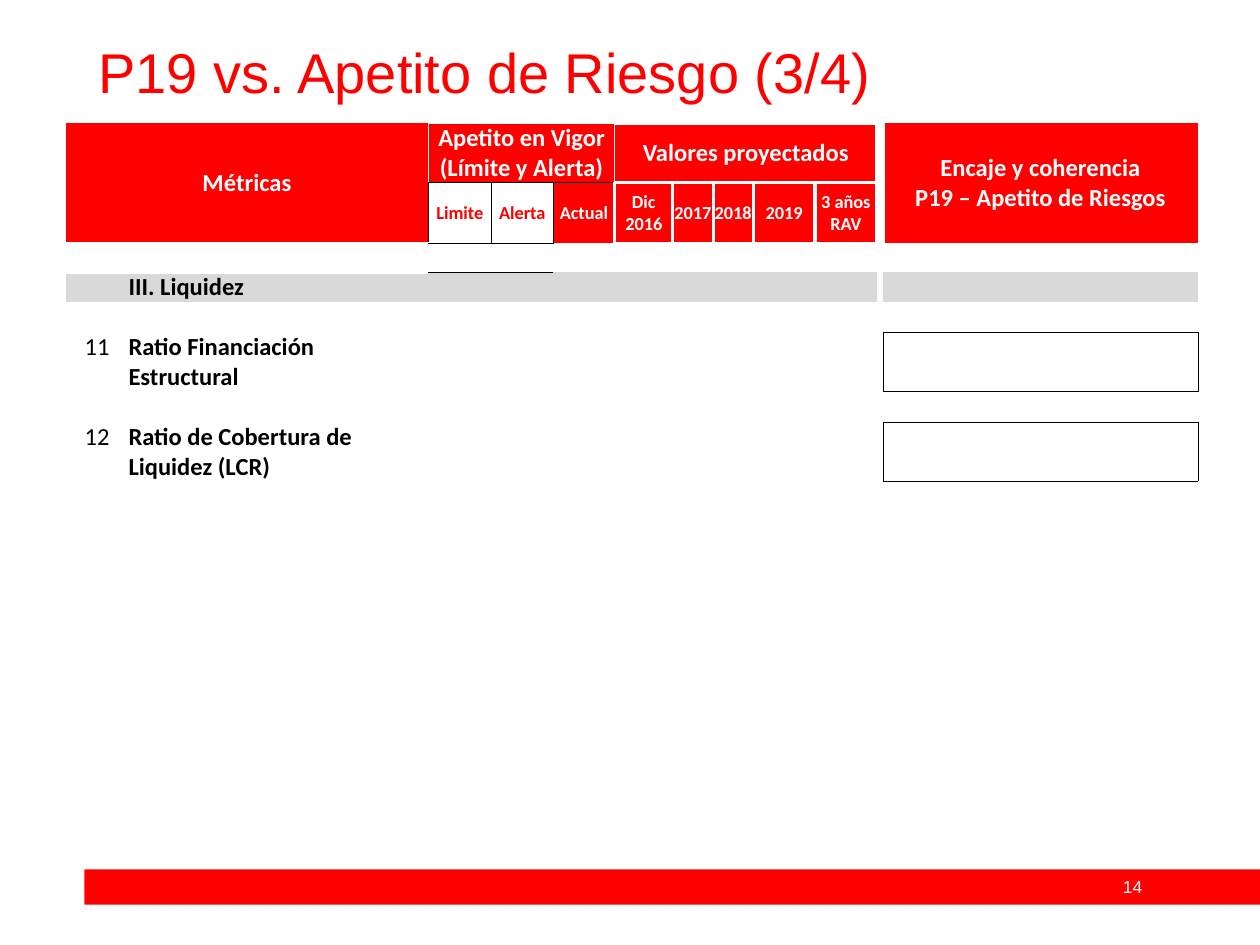
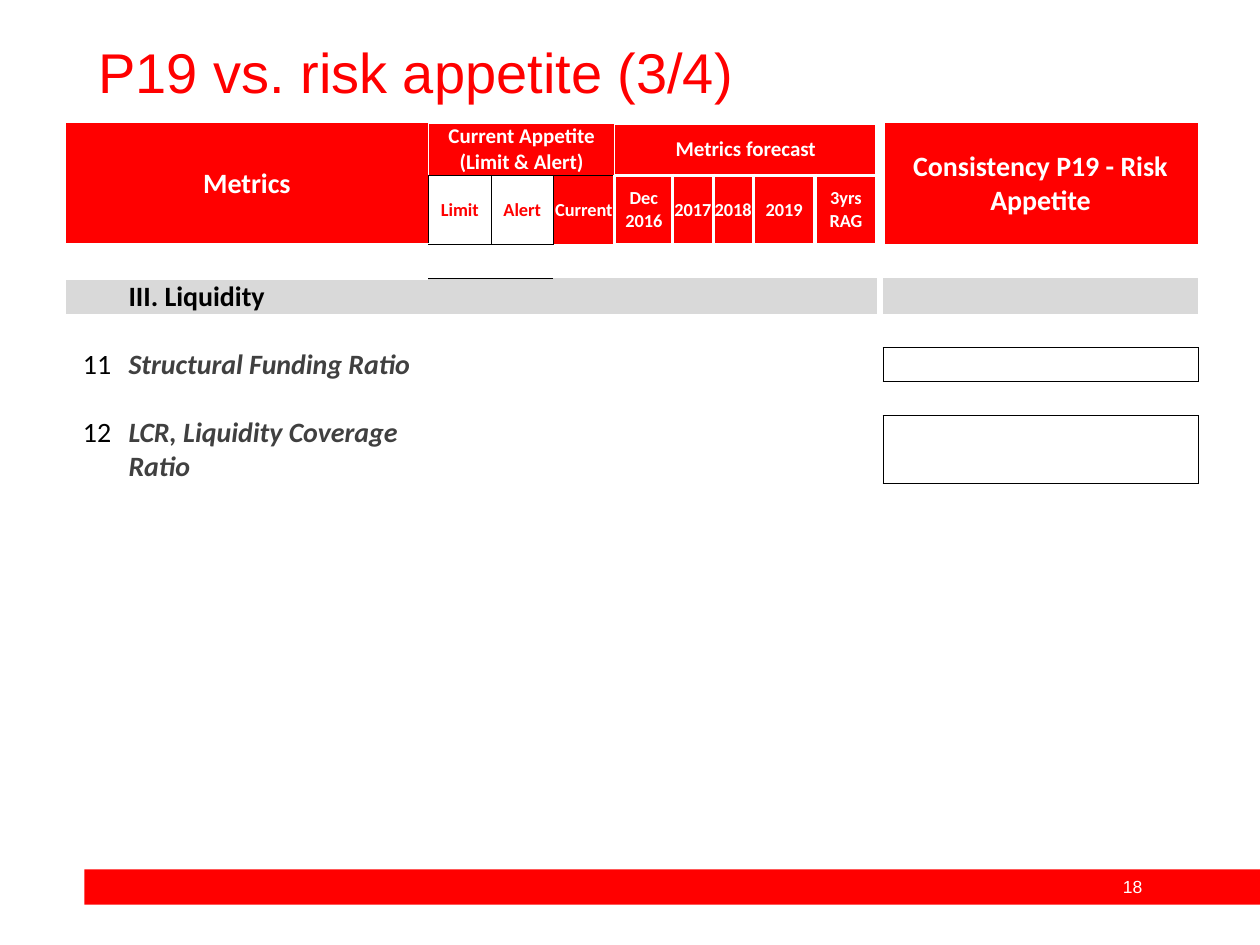
from lxml.etree import SubElement
from pptx import Presentation
from pptx.dml.color import RGBColor
from pptx.enum.shapes import MSO_SHAPE as Shape
from pptx.enum.text import MSO_ANCHOR as Anchor, MSO_AUTO_SIZE as Fit, PP_ALIGN as Align
from pptx.oxml import parse_xml
from pptx.oxml.ns import nsdecls, qn
from pptx.util import Inches, Pt

RED = RGBColor(0xFF, 0x00, 0x00)
WHITE = RGBColor(0xFF, 0xFF, 0xFF)
BLACK = RGBColor(0x00, 0x00, 0x00)
GREY = RGBColor(0xD9, 0xD9, 0xD9)
DARK = RGBColor(0x40, 0x40, 0x40)

NO_STYLE = "{2D5ABB26-0587-4C30-8999-92F81FD0307C}"
TITLE_BOX = (0.68, 0.31, 8.62, 0.57)
BAND_BOX = (0.67, 6.9, 9.33, 0.28)
PAGE_BOX = (8.71, 6.9, 0.56, 0.27)
GRID_BOX = (0.52, 0.98, 9, 2.84)
COLS = (0.5, 2.38, 0.5, 0.49, 0.49, 0.46, 0.32, 0.32, 0.49, 0.49, 0.05, 2.5)
GAP, FIT = 10, 11  # narrow spacer column and last column
SPANS = [(0, 0, 1, 1), (0, 2, 0, 4), (0, 5, 0, 9), (0, FIT, 1, FIT)]
SPANS += [(row, 8, row, 9) for row in (2, 5, 7)]

THIN, THICK = 0.5, 2
EDGES = {
    (0, 0): [("R", WHITE, THIN), ("B", WHITE, THICK)],
    (0, 2): [("LRT", WHITE, THIN), ("B", BLACK, THIN)],
    (0, 5): [("L", WHITE, THIN), ("RTB", WHITE, THICK)],
    (1, 4): [("L", BLACK, THIN), ("R", WHITE, THICK)],
}
EDGES |= {(row, GAP): [("L", WHITE, THICK)] for row in (0, 1)}
EDGES |= {(1, col): [("LRT", WHITE, THICK)] for col in range(5, 10)}
EDGES |= {(2, col): [("T", WHITE, THICK)] for col in (0, 1)}
EDGES |= {(2, col): [("T", BLACK, THIN)] for col in (2, 3)}
EDGES |= {(row, GAP): [("R", BLACK, THIN)] for row in (5, 7)}
EDGES |= {(4, FIT): [("B", BLACK, THIN)], (6, FIT): [("TB", BLACK, THIN)]}
EDGES |= {spot: [("LRTB", BLACK, THIN)]
          for spot in ((1, 2), (1, 3), (5, FIT), (7, FIT))}

PAGES = [
    {
        "title": "P19 vs. Apetito de Riesgo (3/4)", "page": "14",
        "rows": (0.47, 0.48, 0.23, 0.24, 0.24, 0.47, 0.24, 0.47),
        "size": 14, "group": 14,
        "heads": ("Métricas", "Apetito en Vigor\n(Límite y Alerta)",
                  "Valores proyectados",
                  "Encaje y coherencia\nP19 – Apetito de Riesgos"),
        "subs": ("Limite", "Alerta", "Actual", "Dic 2016",
                 "2017", "2018", "2019", "3 años RAV"),
        "part": "III. Liquidez",
        "names": ("Ratio Financiación Estructural",
                  "Ratio de Cobertura de Liquidez (LCR)"),
        "look": {"bold": True, "color": BLACK},
    },
    {
        "title": "P19 vs. risk appetite (3/4)", "page": "18",
        "rows": (0.41, 0.55, 0.27, 0.28, 0.27, 0.27, 0.27, 0.54),
        "size": 16, "group": 12,
        "heads": ("Metrics", "Current Appetite (Limit & Alert)",
                  "Metrics forecast", "Consistency P19 - Risk Appetite"),
        "subs": ("Limit", "Alert", "Current", "Dec 2016",
                 "2017", "2018", "2019", "3yrs RAG"),
        "part": "III. Liquidity",
        "names": ("Structural Funding Ratio", "LCR, Liquidity Coverage Ratio"),
        "look": {"bold": True, "italic": True, "color": DARK},
    },
]


def inch(box):
    return [Inches(part) for part in box]


def write(frame, text, align, look):
    """Fill a text frame, giving every paragraph the same look."""
    frame.text = text
    for para in frame.paragraphs:
        para.alignment = align
        for run in para.runs:
            for key, value in look.items():
                if key == "color":
                    run.font.color.rgb = value
                else:
                    setattr(run.font, key, value)


def add_title(slide, box, text):
    title = slide.shapes.title
    title.left, title.top, title.width, title.height = inch(box)
    frame = title.text_frame
    write(frame, text, Align.LEFT, {"size": Pt(32), "name": "Arial", "color": RED})
    frame.auto_size = Fit.NONE
    frame.vertical_anchor = Anchor.MIDDLE
    frame.paragraphs[0].line_spacing = 0.9


def add_foot(slide, page):
    band = slide.shapes.add_shape(Shape.RECTANGLE, *inch(BAND_BOX))
    band.shadow.inherit = False
    band.fill.solid()
    band.fill.fore_color.rgb = RED
    band.line.fill.background()
    frame = slide.shapes.add_textbox(*inch(PAGE_BOX)).text_frame
    frame.word_wrap = True
    write(frame, page, Align.CENTER, {"size": Pt(10), "name": "Arial", "color": WHITE})


def shade(row, col):
    """Return the fill colour of a cell."""
    if col == GAP or (row == 1 and col in (2, 3)):
        return WHITE
    return {0: RED, 1: RED, 3: GREY}.get(row, WHITE)


def edge(cell, rules):
    """Draw cell borders, which the schema wants before the fill."""
    lines = {side: (color, width) for sides, color, width in rules for side in sides}
    props = cell._tc.get_or_add_tcPr()
    for spot, side in enumerate(side for side in "LRTB" if side in lines):
        color, width = lines[side]
        props.insert(spot, parse_xml(
            f'<a:ln{side} {nsdecls("a")} w="{Pt(width)}"><a:solidFill>'
            f'<a:srgbClr val="{color}"/></a:solidFill></a:ln{side}>'))


def texts(data):
    """Map each filled cell to its text, alignment, anchor and look."""
    size = Pt(data["size"])
    head = {"name": "Calibri", "bold": True, "color": WHITE}
    sizes = (data["size"], data["group"], data["group"], data["size"])
    found = {}
    for col, text, points in zip((0, 2, 5, FIT), data["heads"], sizes):
        found[0, col] = (text, Align.CENTER, Anchor.MIDDLE, head | {"size": Pt(points)})
    for col, text in enumerate(data["subs"], 2):
        look = head | {"size": Pt(10.5), "color": RED if col < 4 else WHITE}
        found[1, col] = (text, Align.CENTER, Anchor.MIDDLE, look)
    body = {"name": "Calibri", "size": size, "color": BLACK}
    found[3, 1] = (data["part"], Align.LEFT, Anchor.BOTTOM, body | {"bold": True})
    for row, number, name in zip((5, 7), ("11", "12"), data["names"]):
        found[row, 0] = (number, Align.CENTER, Anchor.TOP, body | {"bold": False})
        found[row, 1] = (name, Align.LEFT, Anchor.TOP, body | data["look"])
    return found


def add_grid(slide, box, data):
    rows = data["rows"]
    table = slide.shapes.add_table(len(rows), len(COLS), *inch(box)).table
    table.first_row = table.horz_banding = False
    table._tbl.tblPr.find(qn("a:tableStyleId")).text = NO_STYLE
    for col, width in zip(table.columns, COLS):
        col.width = Inches(width)
    for row, height in zip(table.rows, rows):
        row.height = Inches(height)
    for top, left, low, right in SPANS:
        table.cell(top, left).merge(table.cell(low, right))
    found = texts(data)
    for row in range(len(rows)):
        for col in range(len(COLS)):
            cell = table.cell(row, col)
            for side in ("left", "right", "top", "bottom"):
                setattr(cell, f"margin_{side}", 0)
            cell.fill.solid()
            cell.fill.fore_color.rgb = shade(row, col)
            edge(cell, EDGES.get((row, col), []))
            if (row, col) in found:
                text, align, anchor, look = found[row, col]
                write(cell.text_frame, text, align, look)
                cell.vertical_anchor = anchor
            else:
                para = cell.text_frame.paragraphs[0]._p
                SubElement(para, qn("a:endParaRPr"), sz="1000")


def add_page(deck, data):
    slide = deck.slides.add_slide(deck.slide_layouts[5])
    add_foot(slide, data["page"])
    add_title(slide, TITLE_BOX, data["title"])
    add_grid(slide, GRID_BOX, data)


def main():
    deck = Presentation()
    deck.slide_width, deck.slide_height = Inches(10), Inches(7.5)
    for data in PAGES:
        add_page(deck, data)
    deck.save("out.pptx")


if __name__ == "__main__":
    main()
